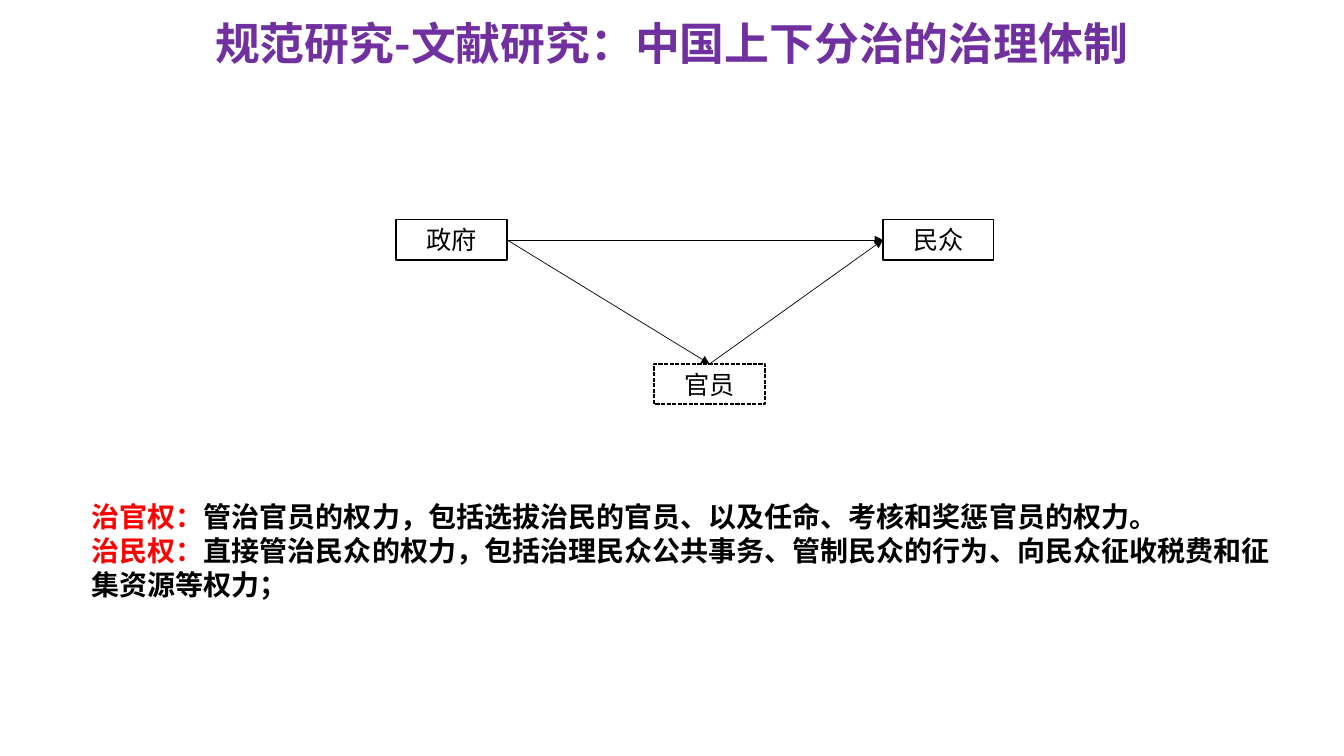
from dataclasses import dataclass
from typing import Any

from lxml import etree
from pptx import Presentation
from pptx import util as u
from pptx.dml.color import RGBColor
from pptx.enum import dml, shapes, text
from pptx.oxml import ns


@dataclass(frozen=True)
class Theme:
    title_color: RGBColor = RGBColor(0x70, 0x30, 0xA0)
    term_color: RGBColor = RGBColor(0xFF, 0x00, 0x00)
    ink: RGBColor = RGBColor(0x00, 0x00, 0x00)
    paper: RGBColor = RGBColor(0xFF, 0xFF, 0xFF)
    title_font: str = "Noto Sans CJK JP"
    body_font: str = "Noto Sans CJK SC"
    box_font: str = "Calibri"
    title_size: float = 32
    body_size: float = 20
    box_size: float = 18
    box_line: float = 1
    arrow_line: float = 0.5


@dataclass(frozen=True)
class Actor:
    name: str
    left: float
    top: float
    dashed: bool = False


@dataclass(frozen=True)
class Arrow:
    start: str
    start_side: int
    end: str
    end_side: int


THEME = Theme()
TOP, LEFT, RIGHT = 0, 1, 3  # connection sites of a rectangle
BOX_WIDTH, BOX_HEIGHT = 79.2, 28.8
TEXT_WIDTH = 856.08

TITLE = "规范研究-文献研究：中国上下分治的治理体制"
ACTORS = [
    Actor("政府", 282.96, 156.96),
    Actor("民众", 630.72, 156.96),
    Actor("官员", 467.28, 259.92, dashed=True),
]
ARROWS = [
    Arrow("政府", RIGHT, "民众", LEFT),
    Arrow("政府", RIGHT, "官员", TOP),
    Arrow("官员", TOP, "民众", LEFT),
]
DEFINITIONS = [
    ("治官权：", "管治官员的权力，包括选拔治民的官员、以及任命、考核和奖惩官员的权力。"),
    ("治民权：", "直接管治民众的权力，包括治理民众公共事务、管制民众的行为、"
     "向民众征收税费和征集资源等权力；"),
]


def add_span(para: Any, words: str, *, font: str, size: float,
             color: RGBColor = THEME.ink, bold: bool = False) -> None:
    """Append formatted text to a paragraph."""
    span = para.add_run()
    span.text = words
    span.font.size = u.Pt(size)
    span.font.bold = bold
    span.font.color.rgb = color
    span.font.name = font
    properties = span.font._element
    etree.SubElement(properties, ns.qn("a:ea"), typeface=font)


def add_text_box(page: Any, left: float, top: float, height: float) -> Any:
    box = page.shapes.add_textbox(u.Pt(left), u.Pt(top), u.Pt(TEXT_WIDTH), u.Pt(height))
    box.text_frame.word_wrap = True
    box.text_frame.auto_size = text.MSO_AUTO_SIZE.SHAPE_TO_FIT_TEXT
    return box.text_frame


def add_actor(page: Any, actor: Actor) -> Any:
    box = page.shapes.add_shape(shapes.MSO_SHAPE.RECTANGLE, u.Pt(actor.left),
                                u.Pt(actor.top), u.Pt(BOX_WIDTH), u.Pt(BOX_HEIGHT))
    box.shadow.inherit = False
    box.fill.solid()
    box.fill.fore_color.rgb = THEME.paper
    box.line.color.rgb = THEME.ink
    box.line.width = u.Pt(THEME.box_line)
    if actor.dashed:
        box.line.dash_style = dml.MSO_LINE.SQUARE_DOT
    box.text_frame.vertical_anchor = text.MSO_ANCHOR.MIDDLE
    para = box.text_frame.paragraphs[0]
    para.alignment = text.PP_ALIGN.CENTER
    add_span(para, actor.name, font=THEME.box_font, size=THEME.box_size)
    return box


def add_arrow(page: Any, arrow: Arrow, boxes: dict[str, Any]) -> None:
    line = page.shapes.add_connector(shapes.MSO_CONNECTOR.STRAIGHT, 0, 0, 0, 0)
    line.begin_connect(boxes[arrow.start], arrow.start_side)
    line.end_connect(boxes[arrow.end], arrow.end_side)
    line.line.color.rgb = THEME.ink
    line.line.width = u.Pt(THEME.arrow_line)
    outline = line.line._get_or_add_ln()
    etree.SubElement(outline, ns.qn("a:tailEnd"), type="triangle")
    etree.SubElement(line._element.spPr, ns.qn("a:effectLst"))


def main() -> None:
    deck = Presentation()
    deck.slide_width, deck.slide_height = u.Pt(960), u.Pt(540)
    page = deck.slides.add_slide(deck.slide_layouts[6])

    # Title
    para = add_text_box(page, 51.84, 7.92, 46.08).paragraphs[0]
    para.alignment = text.PP_ALIGN.CENTER
    add_span(para, TITLE, font=THEME.title_font, size=THEME.title_size,
             color=THEME.title_color, bold=True)

    # Definitions of the two powers
    frame = add_text_box(page, 58.32, 353.52, 104.4)
    for index, (term, meaning) in enumerate(DEFINITIONS):
        para = frame.add_paragraph() if index else frame.paragraphs[0]
        for words, color in ((term, THEME.term_color), (meaning, THEME.ink)):
            add_span(para, words, font=THEME.body_font, size=THEME.body_size,
                     color=color, bold=True)

    # Governance triangle
    boxes = {actor.name: add_actor(page, actor) for actor in ACTORS}
    for arrow in ARROWS:
        add_arrow(page, arrow, boxes)

    deck.save("out.pptx")


if __name__ == "__main__":
    main()
